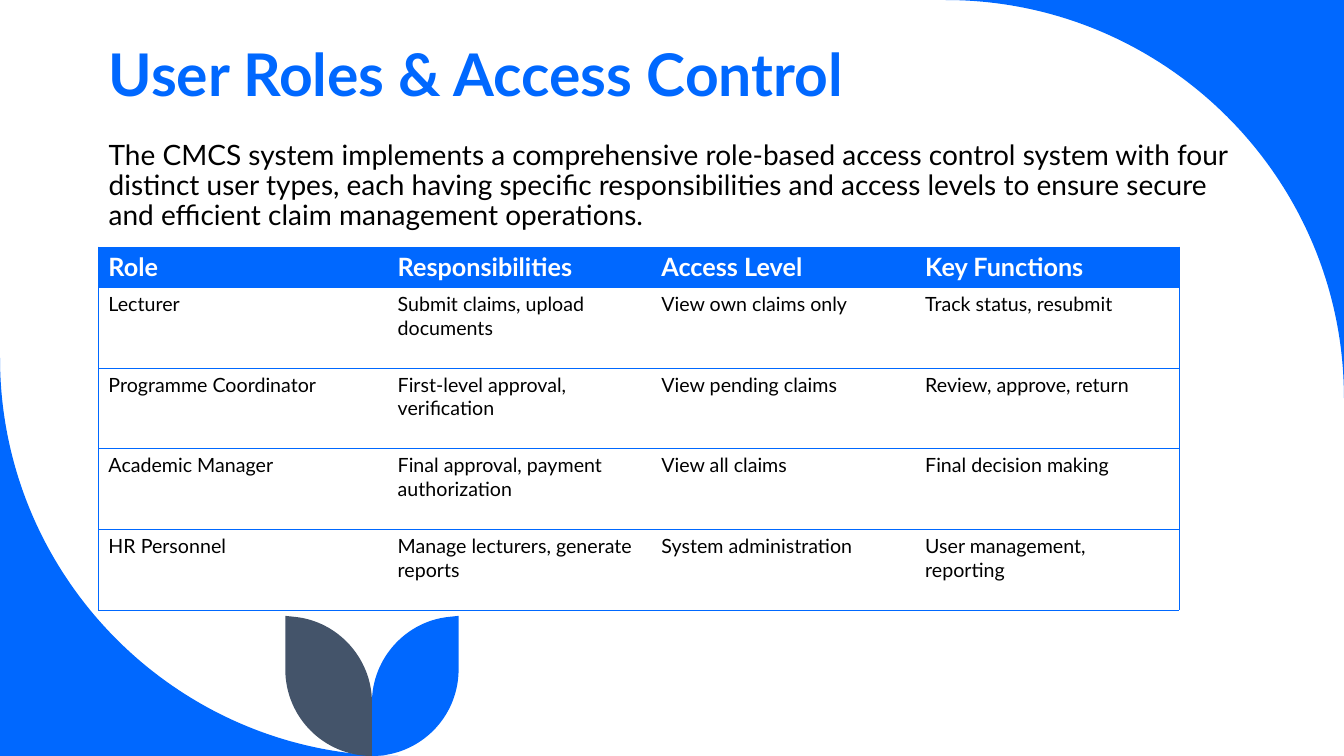
"""Build the User Roles & Access Control slide."""
from dataclasses import dataclass

from lxml import etree
from pptx import Presentation
from pptx import util as u
from pptx.dml.color import RGBColor
from pptx.enum import text
from pptx.oxml import ns

COLORS = {"blue": "0068FF", "slate": "44546A", "black": "000000", "white": "FFFFFF"}
FONT = "Lato"
LEAF_X = 265.7
Point = tuple[float, float]


@dataclass
class Outline:
    """A closed path: a one-point step is a line, a three-point step a curve."""
    color: str
    start: Point
    steps: list[list[Point]]


@dataclass
class Label:
    """A text box."""
    box: tuple[float, float, float, float]
    words: str
    size: float
    color: str
    bold: bool
    spacing: float
    before: float
    anchor: text.MSO_ANCHOR


def leaf(color: str, side: int) -> Outline:
    """Describe a leaf to the left (-1) or right (1) of the stem."""
    def at(dx: float, y: float) -> Point:
        return LEAF_X + side * dx, y
    return Outline(color, at(61.9, 439.9), [
        [at(61.9, 478.1)],
        [at(61.9, 512.4), at(34.2, 540), at(0, 540)],
        [at(0, 501.8)],
        [at(0, 470.2), at(24.5, 443.5), at(55.4, 440.6)],
    ])


OUTLINES = [
    Outline("blue", (960, 0), [[(960, 284.4)], [(960, 127.4), (832.4, 0), (675.4, 0)]]),
    Outline("blue", (0, 255.6), [[(0, 412.6), (127.4, 540), (284.4, 540)], [(0, 540)]]),
    leaf("blue", 1),
    leaf("slate", -1),
]
LABELS = [
    Label((70.5, 14.8, 555, 65.5), "User Roles & Access Control", 42, "blue", True,
          0.8, 0, text.MSO_ANCHOR.BOTTOM),
    Label((70.5, 97.2, 834.5, 81.4),
          "The CMCS system implements a comprehensive role-based access control system "
          "with four distinct user types, each having specific responsibilities and access "
          "levels to ensure secure and efficient claim management operations.",
          20, "black", False, 0.9, 10, text.MSO_ANCHOR.TOP),
]
ROLES = [
    ("Role", "Responsibilities", "Access Level", "Key Functions"),
    ("Lecturer", "Submit claims, upload documents", "View own claims only",
     "Track status, resubmit"),
    ("Programme Coordinator", "First-level approval, verification",
     "View pending claims", "Review, approve, return"),
    ("Academic Manager", "Final approval, payment authorization", "View all claims",
     "Final decision making"),
    ("HR Personnel", "Manage lecturers, generate reports", "System administration",
     "User management, reporting"),
]
COLUMNS = [206.6, 188.4, 188.4, 188.4]
ROWS = [28.8] + [57.6] * 4


def rgb(name: str) -> RGBColor:
    """Look up a colour."""
    return RGBColor.from_string(COLORS[name])


def style(p, size: float, color: str, bold: bool) -> None:
    """Format the runs of a paragraph."""
    for r in p.runs:
        r.font.name, r.font.size, r.font.bold = FONT, u.Pt(size), bold
        r.font.color.rgb = rgb(color)


def bend(lines: list) -> None:
    """Turn three line segments into one curve through their points."""
    curve = etree.Element(ns.qn("a:cubicBezTo"))
    lines[0].addprevious(curve)
    for line in lines:
        curve.append(line[0])
        line.getparent().remove(line)


def draw_outline(s, outline: Outline) -> None:
    """Draw a filled outline."""
    points = [(u.Pt(x), u.Pt(y)) for step in outline.steps for x, y in step]
    builder = s.shapes.build_freeform(*map(u.Pt, outline.start))
    builder.add_line_segments(points, close=True)
    sp = builder.convert_to_shape()
    lines = iter(list(sp._element.iter(ns.qn("a:lnTo"))))
    for step in outline.steps:
        segments = [next(lines) for _ in step]
        if len(segments) == 3:
            bend(segments)
    sp.shadow.inherit = False
    sp.fill.solid()
    sp.fill.fore_color.rgb = rgb(outline.color)
    sp.line.fill.background()


def draw_label(s, label: Label) -> None:
    """Draw a text box."""
    tf = s.shapes.add_textbox(*map(u.Pt, label.box)).text_frame
    tf.word_wrap, tf.vertical_anchor = True, label.anchor
    tf.text = label.words
    p = tf.paragraphs[0]
    p.line_spacing, p.space_before = label.spacing, u.Pt(label.before)
    style(p, label.size, label.color, label.bold)


def set_borders(cell, sides: dict[str, bool]) -> None:
    """Draw thin blue lines on the chosen sides and clear the others."""
    tc_pr = cell._tc.get_or_add_tcPr()
    for side, shown in sides.items():
        ln = etree.SubElement(tc_pr, ns.qn(f"a:ln{side}"), w=str(u.Pt(0.5)))
        if shown:
            fill = etree.SubElement(ln, ns.qn("a:solidFill"))
            etree.SubElement(fill, ns.qn("a:srgbClr"), val=COLORS["blue"])
        else:
            etree.SubElement(ln, ns.qn("a:noFill"))


def draw_table(s) -> None:
    """Draw the table of roles."""
    box = map(u.Pt, (70.3, 176.4, sum(COLUMNS), sum(ROWS)))
    table = s.shapes.add_table(len(ROWS), len(COLUMNS), *box).table
    table.horz_banding = False
    for column, width in zip(table.columns, COLUMNS):
        column.width = u.Pt(width)
    for i, (row, height) in enumerate(zip(table.rows, ROWS)):
        row.height = u.Pt(height)
        header = i == 0
        for j, cell in enumerate(row.cells):
            set_borders(cell, {"L": j == 0, "R": j == len(COLUMNS) - 1,
                               "T": True, "B": True})
            cell.fill.solid()
            cell.fill.fore_color.rgb = rgb("blue" if header else "white")
            cell.text_frame.text = ROLES[i][j]
            style(cell.text_frame.paragraphs[0], 18 if header else 14,
                  "white" if header else "black", header)


def main() -> None:
    """Build and save the slide."""
    prs = Presentation()
    prs.slide_width, prs.slide_height = u.Pt(960), u.Pt(540)
    s = prs.slides.add_slide(prs.slide_layouts[6])
    for outline in OUTLINES:
        draw_outline(s, outline)
    for label in LABELS:
        draw_label(s, label)
    draw_table(s)
    prs.save("out.pptx")


if __name__ == "__main__":
    main()
